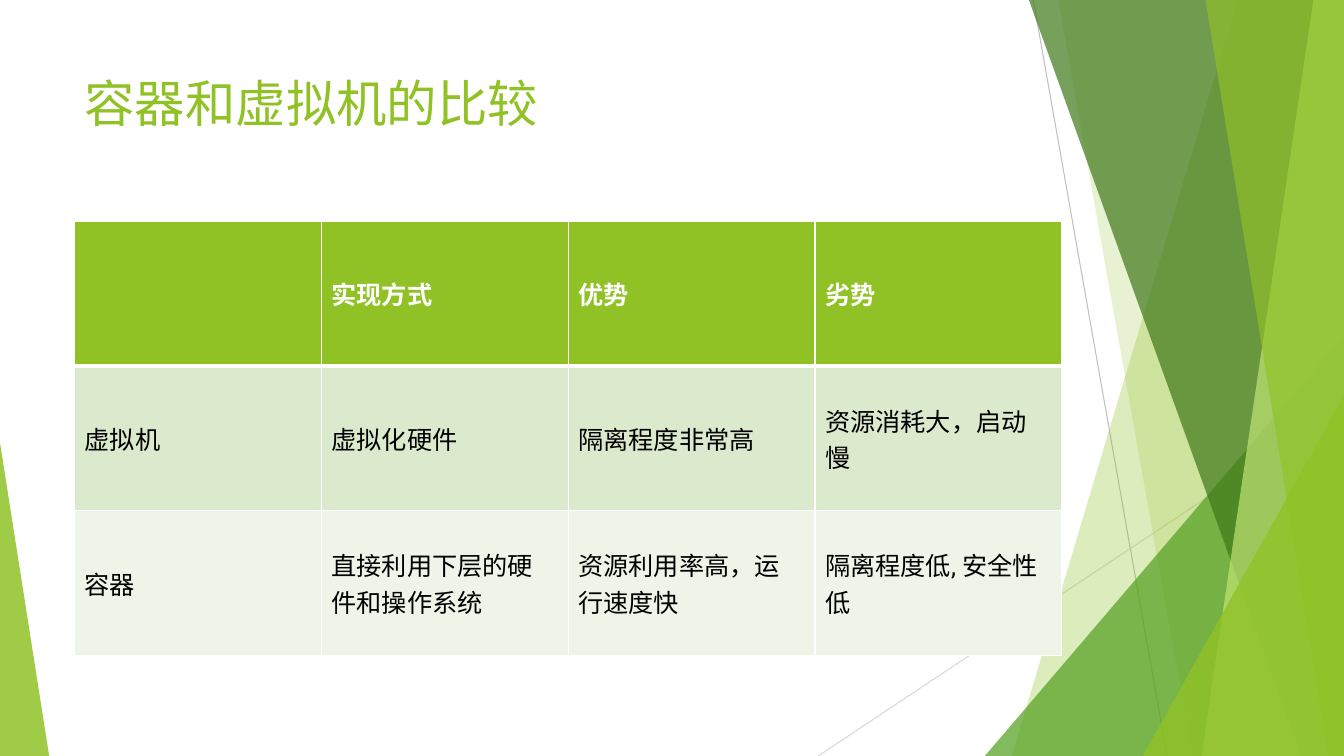
from dataclasses import dataclass

from lxml.etree import SubElement
from pptx import Presentation
from pptx.dml.color import RGBColor
from pptx.enum.shapes import MSO_CONNECTOR, MSO_SHAPE
from pptx.enum.text import MSO_ANCHOR
from pptx.oxml.ns import qn
from pptx.util import Cm, Pt


@dataclass(frozen=True)
class Theme:
    font: str = "Roboto"
    title_size: int = 36
    table_size: int = 18
    green: str = "90C226"
    leaf: str = "54A021"
    forest: str = "3F7819"
    lime: str = "C0E474"
    white: str = "FFFFFF"
    black: str = "000000"
    row_fills: tuple = ("90C226", "DBE9CD", "EEF4E8")
    line_dark: str = "BFBFBF"
    line_light: str = "D9D9D9"


theme = Theme()
WIDTH, HEIGHT = 33.87, 19.05


def paint(shape, color, opacity):
    """Give a facet a translucent fill without outline or shadow."""
    shape.shadow.inherit = False
    shape.line.fill.background()
    shape.fill.solid()
    shape.fill.fore_color.rgb = RGBColor.from_string(color)
    color_element = shape.fill._xPr.find(qn("a:solidFill"))[0]
    SubElement(color_element, qn("a:alpha"), val=str(opacity * 1000))


def set_borders(cell, bottom_width, top_width):
    """Draw white borders; they must come before the fill in the cell."""
    properties = cell._tc.get_or_add_tcPr()
    widths = {"lnL": 1, "lnR": 1, "lnT": top_width, "lnB": bottom_width}
    for position, (side, width) in enumerate(widths.items()):
        border = SubElement(properties, qn(f"a:{side}"), w=str(Pt(width)))
        fill = SubElement(border, qn("a:solidFill"))
        SubElement(fill, qn("a:srgbClr"), val=theme.white)
        properties.insert(position, border)


presentation = Presentation()
presentation.slide_width, presentation.slide_height = Cm(WIDTH), Cm(HEIGHT)
slide = presentation.slides.add_slide(presentation.slide_layouts[6])

# Thin crossing lines
for start_x, start_y, end_x, color in (
    (26.04, 0, 29.41, theme.line_dark),
    (WIDTH, 10.24, 20.62, theme.line_light),
):
    connector = slide.shapes.add_connector(
        MSO_CONNECTOR.STRAIGHT, Cm(start_x), Cm(start_y), Cm(end_x), Cm(HEIGHT))
    connector.line.color.rgb = RGBColor.from_string(color)
    connector.line.width = Pt(0.75)
    SubElement(connector._element.spPr, qn("a:effectLst"))

# Facets, back to front: bands reach the right edge, triangles the bottom edge
facets = (
    # kind, then top left x and bottom left x of a band,
    # or left, top, width and apex of a triangle
    ("band", (31.19, 25.5), theme.green, 30),
    ("band", (26.67, 30.05), theme.green, 20),
    ("triangle", (24.82, 8.46, 9.05, 1), theme.leaf, 72),
    ("band", (25.93, 32.79), theme.forest, 70),
    ("band", (33.1, 30.28), theme.lime, 70),
    ("band", (30.38, 33.48), theme.green, 65),
    ("triangle", (28.8, 9.98, 5.07, 1), theme.green, 80),
    ("triangle", (0, 11.15, 1.24, 0), theme.green, 85),
)
for kind, geometry, color, opacity in facets:
    if kind == "band":
        top_x, bottom_x = geometry
        builder = slide.shapes.build_freeform(Cm(top_x), 0)
        builder.add_line_segments([
            (Cm(WIDTH), 0), (Cm(WIDTH), Cm(HEIGHT)), (Cm(bottom_x), Cm(HEIGHT))])
        shape = builder.convert_to_shape()
    else:
        left, top, width, apex = geometry
        shape = slide.shapes.add_shape(
            MSO_SHAPE.ISOSCELES_TRIANGLE,
            Cm(left), Cm(top), Cm(width), Cm(HEIGHT - top))
        shape.adjustments[0] = apex
    paint(shape, color, opacity)

# Title
title = slide.shapes.add_textbox(Cm(1.88), Cm(1.69), Cm(23.88), Cm(3.67))
title.text_frame.word_wrap = True
paragraph = title.text_frame.paragraphs[0]
paragraph.text = "容器和虚拟机的比较"
paragraph.font.name = theme.font
paragraph.font.size = Pt(theme.title_size)
paragraph.font.color.rgb = RGBColor.from_string(theme.green)

# Comparison table
rows = (
    ("", "实现方式", "优势", "劣势"),
    ("虚拟机", "虚拟化硬件", "隔离程度非常高", "资源消耗大，启动慢"),
    ("容器", "直接利用下层的硬件和操作系统", "资源利用率高，运行速度快",
     "隔离程度低, 安全性低"),
)
table = slide.shapes.add_table(
    len(rows), len(rows[0]), Cm(1.88), Cm(5.57), Cm(24.88), Cm(10.95)).table
for row_index, row in enumerate(rows):
    is_header = row_index == 0
    for column_index, text in enumerate(row):
        cell = table.cell(row_index, column_index)
        cell.vertical_anchor = MSO_ANCHOR.MIDDLE
        cell.fill.solid()
        cell.fill.fore_color.rgb = RGBColor.from_string(theme.row_fills[row_index])
        set_borders(cell, 3 if is_header else 1, 3 if row_index == 1 else 1)
        paragraph = cell.text_frame.paragraphs[0]
        paragraph.text = text
        paragraph.font.name = theme.font
        paragraph.font.size = Pt(theme.table_size)
        paragraph.font.bold = is_header
        paragraph.font.color.rgb = RGBColor.from_string(
            theme.white if is_header else theme.black)

presentation.save("out.pptx")
